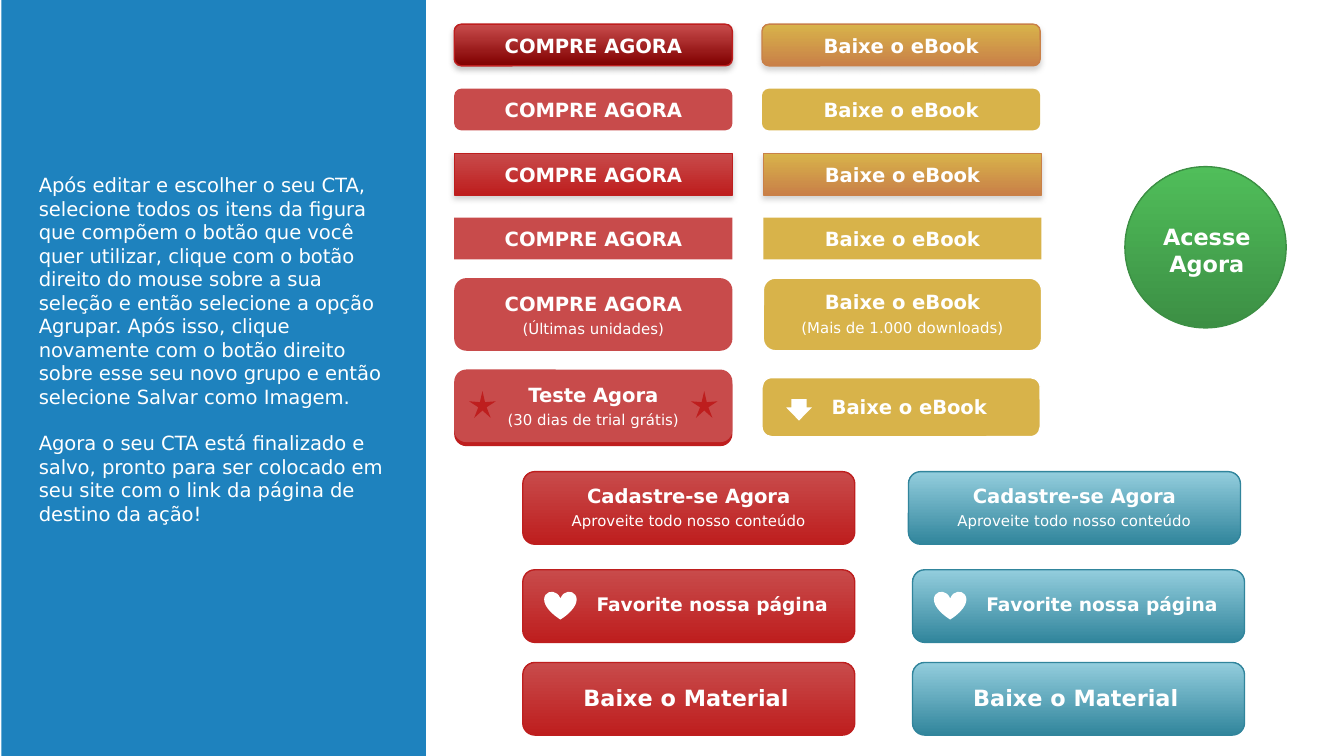
from lxml import etree
from pptx import Presentation, util as u
from pptx.dml.color import RGBColor
from pptx.enum import shapes, text
from pptx.oxml.ns import qn

FONT = "DejaVu Sans"
WHITE, RED, ROSE, MAROON = "FFFFFF", "BE1E1E", "C84B4B", "800000"
GOLD, COPPER = "D8B34A", "C98048"
BLUE, TEAL, SKY = "1E82BE", "31859C", "93CDDD"
FOREST, GREEN = "3C8F44", "50BE5A"
SHAPE = shapes.MSO_SHAPE
LEFT, CENTER = text.PP_ALIGN.LEFT, text.PP_ALIGN.CENTER
WIDTH = 10
HEIGHT = WIDTH * 9 / 16


def rgb(color):
    """Turn a hex string into a colour."""
    return RGBColor.from_string(color)


def add_shadow(sp, color):
    """Give a shape a soft shadow below it."""
    effects = sp._element.spPr.find(qn("a:effectLst"))
    outer = etree.SubElement(effects, qn("a:outerShdw"), blurRad=str(u.Pt(3.1)),
                             dist=str(u.Pt(1.8)), dir="5400000", rotWithShape="0")
    clr = etree.SubElement(outer, qn("a:srgbClr"), val=color)
    etree.SubElement(clr, qn("a:alpha"), val="35000")


def add_shape(s, kind, box, fill, line=None, shadow=None, adj=()):
    """Add a shape; a (bottom, top) pair of colours fills it with a gradient."""
    sp = s.shapes.add_shape(kind, *map(u.Inches, box))
    sp.shadow.inherit = False
    if isinstance(fill, tuple):
        sp.fill.gradient()
        sp.fill.gradient_angle = 90
        for stop, color in zip(sp.fill.gradient_stops, fill):
            stop.color.rgb = rgb(color)
    else:
        sp.fill.solid()
        sp.fill.fore_color.rgb = rgb(fill)
    if line:
        sp.line.color.rgb = rgb(line)
        sp.line.width = u.Pt(0.75)
    else:
        sp.line.fill.background()
    if shadow:
        add_shadow(sp, shadow)
    for i, value in enumerate(adj):
        sp.adjustments[i] = value
    return sp


def add_text(s, box, *paragraphs, size=10.5, bold=True, align=CENTER, gap=0):
    """Add a white text box with one paragraph for each string."""
    tf = s.shapes.add_textbox(*map(u.Inches, box)).text_frame
    tf.word_wrap = True
    tf.auto_size = text.MSO_AUTO_SIZE.SHAPE_TO_FIT_TEXT
    for i, words in enumerate(paragraphs):
        p = tf.paragraphs[0] if i == 0 else tf.add_paragraph()
        p.alignment = align
        if i and gap:
            p.space_before = u.Pt(gap)
        r = p.add_run()
        r.text = words
        r.font.name, r.font.size, r.font.bold = FONT, u.Pt(size), bold
        r.font.color.rgb = rgb(WHITE)


def add_two_lines(s, x, y, w, title, note):
    """Add a bold title with a small note under it."""
    add_text(s, (x, y, w, 0.28), title)
    add_text(s, (x, y + 0.21, w, 0.24), note, size=8, bold=False)


def sidebar(s, x, y, w, h):
    """Draw the instruction panel."""
    add_shape(s, SHAPE.RECTANGLE, (x, y, w, h), BLUE)
    add_text(
        s, (x + 0.18, y + 1.24, 2.81, 2.75),
        "Após editar e escolher o seu CTA, selecione todos os itens da figura que "
        "compõem o botão que você quer utilizar, clique com o botão direito do mouse "
        "sobre a sua seleção e então selecione a opção Agrupar. Após isso, clique "
        "novamente com o botão direito sobre esse seu novo grupo e então selecione "
        "Salvar como Imagem.",
        "Agora o seu CTA está finalizado e salvo, pronto para ser colocado em seu "
        "site com o link da página de destino da ação!",
        bold=False, align=LEFT, gap=12.2)


def slim_buttons(s, x, y, title, flat, line, styles, nudge=0):
    """Stack four slim buttons: rounded then square, shaded then flat."""
    for i in range(4):
        kind = SHAPE.ROUNDED_RECTANGLE if i < 2 else SHAPE.RECTANGLE
        left, top = x + nudge * (i // 2), y + 0.48 * i
        box = (left, top, 2.07, 0.31)
        if i % 2:
            add_shape(s, kind, box, flat)
        else:
            bottom, shadow = styles[i // 2]
            add_shape(s, kind, box, (bottom, flat), line, shadow)
        add_text(s, (left + 0.11, top + 0.02, 1.85, 0.28), title)


def note_button(s, x, y, title, note, fill, line=None, pad=0.05):
    """Draw a flat button with a title and a note."""
    add_shape(s, SHAPE.ROUNDED_RECTANGLE, (x, y, 2.07, 0.54), fill, line)
    add_two_lines(s, x + 0.11, y + pad, 1.85, title, note)


def trial_button(s, x, y):
    """Draw the raised trial button with a star at each end."""
    add_shape(s, SHAPE.ROUNDED_RECTANGLE, (x, y + 0.03, 2.07, 0.54), RED)
    note_button(s, x, y, "Teste Agora", "(30 dias de trial grátis)", ROSE)
    for dx in (0.11, 1.76):
        add_shape(s, SHAPE.STAR_5_POINT, (x + dx, y + 0.16, 0.2, 0.2), RED,
                  adj=(0.155, 1.051, 1.106))


def download_button(s, x, y):
    """Draw the button with a download arrow."""
    add_shape(s, SHAPE.ROUNDED_RECTANGLE, (x, y, 2.07, 0.44), GOLD, WHITE)
    add_text(s, (x + 0.42, y + 0.08, 1.55, 0.28), "Baixe o eBook", align=LEFT)
    add_shape(s, SHAPE.DOWN_ARROW, (x + 0.18, y + 0.16, 0.19, 0.16), WHITE,
              adj=(0.587, 0.609))


def round_button(s, x, y, d):
    """Draw the round access button."""
    add_shape(s, SHAPE.OVAL, (x, y, d, d), (FOREST, GREEN), FOREST)
    add_text(s, (x + 0.01, y + 0.37, d, 0.5), "Acesse", "Agora", size=12)


def wide_buttons(s, x, y, dark, light, first_dx=0):
    """Stack the sign-up, favourite and material buttons."""
    w, first = 2.47, x + first_dx
    favorite, material = y + 0.73, y + 1.42
    for left, top in ((first, y), (x, favorite), (x, material)):
        add_shape(s, SHAPE.ROUNDED_RECTANGLE, (left, top, w, 0.54), (dark, light), dark)
    add_two_lines(s, first, y + 0.04, w, "Cadastre-se Agora",
                  "Aproveite todo nosso conteúdo")
    add_shape(s, SHAPE.HEART, (x + 0.16, favorite + 0.16, 0.24, 0.21), WHITE)
    add_text(s, (x + 0.45, favorite + 0.12, 1.99, 0.27), "Favorite nossa página",
             size=10, align=LEFT)
    add_text(s, (x, material + 0.11, 2.43, 0.3), "Baixe o Material", size=12)


def main():
    """Build the slide of call-to-action buttons."""
    prs = Presentation()
    prs.slide_width, prs.slide_height = u.Inches(WIDTH), u.Inches(HEIGHT)
    s = prs.slides.add_slide(prs.slide_layouts[6])
    sidebar(s, 0.01, 0, 3.16, HEIGHT)
    slim_buttons(s, 3.38, 0.18, "COMPRE AGORA", ROSE, RED,
                 ((MAROON, "595959"), (RED, "808080")))
    note_button(s, 3.38, 2.07, "COMPRE AGORA", "(Últimas unidades)", ROSE)
    trial_button(s, 3.38, 2.75)
    slim_buttons(s, 5.67, 0.18, "Baixe o eBook", GOLD, COPPER,
                 ((COPPER, "808080"),) * 2, nudge=0.01)
    note_button(s, 5.68, 2.07, "Baixe o eBook", "(Mais de 1.000 downloads)",
                GOLD, WHITE, pad=0.04)
    download_button(s, 5.67, 2.81)
    round_button(s, 8.37, 1.24, 1.2)
    wide_buttons(s, 3.89, 3.51, RED, ROSE)
    wide_buttons(s, 6.79, 3.51, TEAL, SKY, first_dx=-0.03)
    prs.save("out.pptx")


if __name__ == "__main__":
    main()
